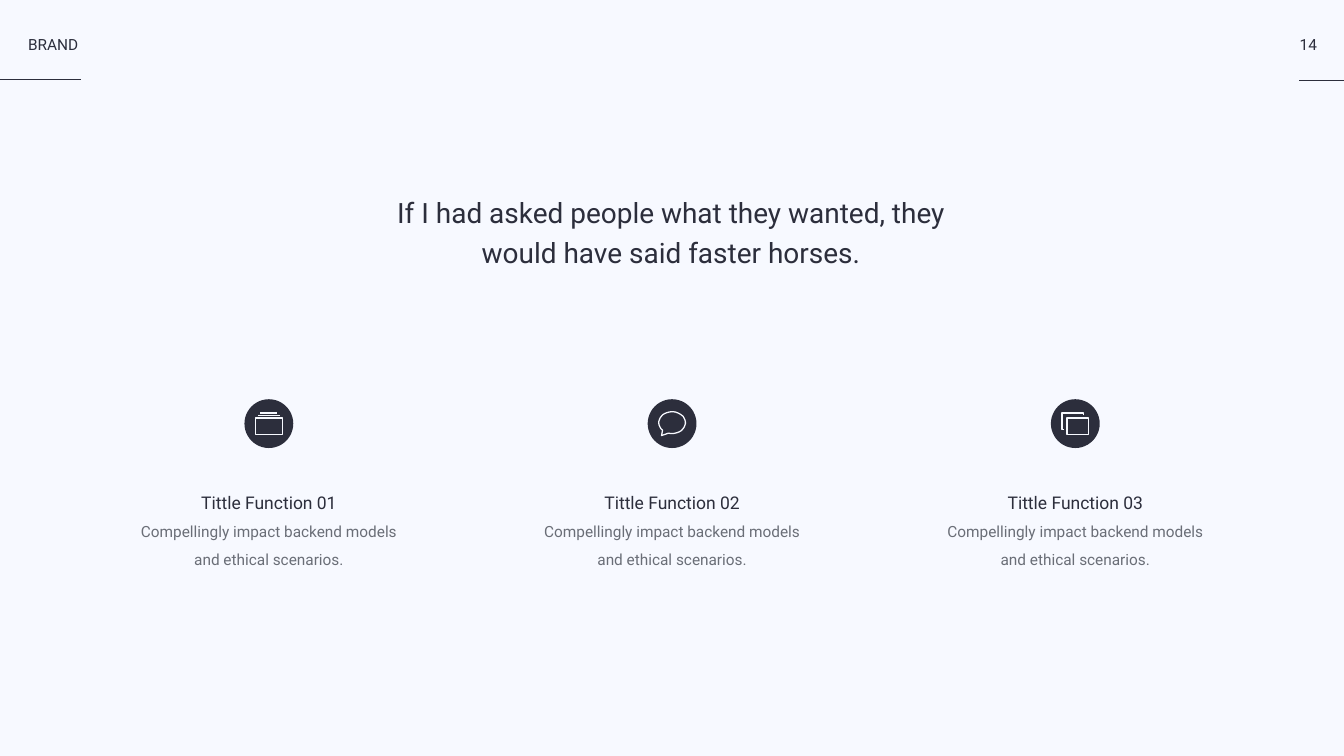
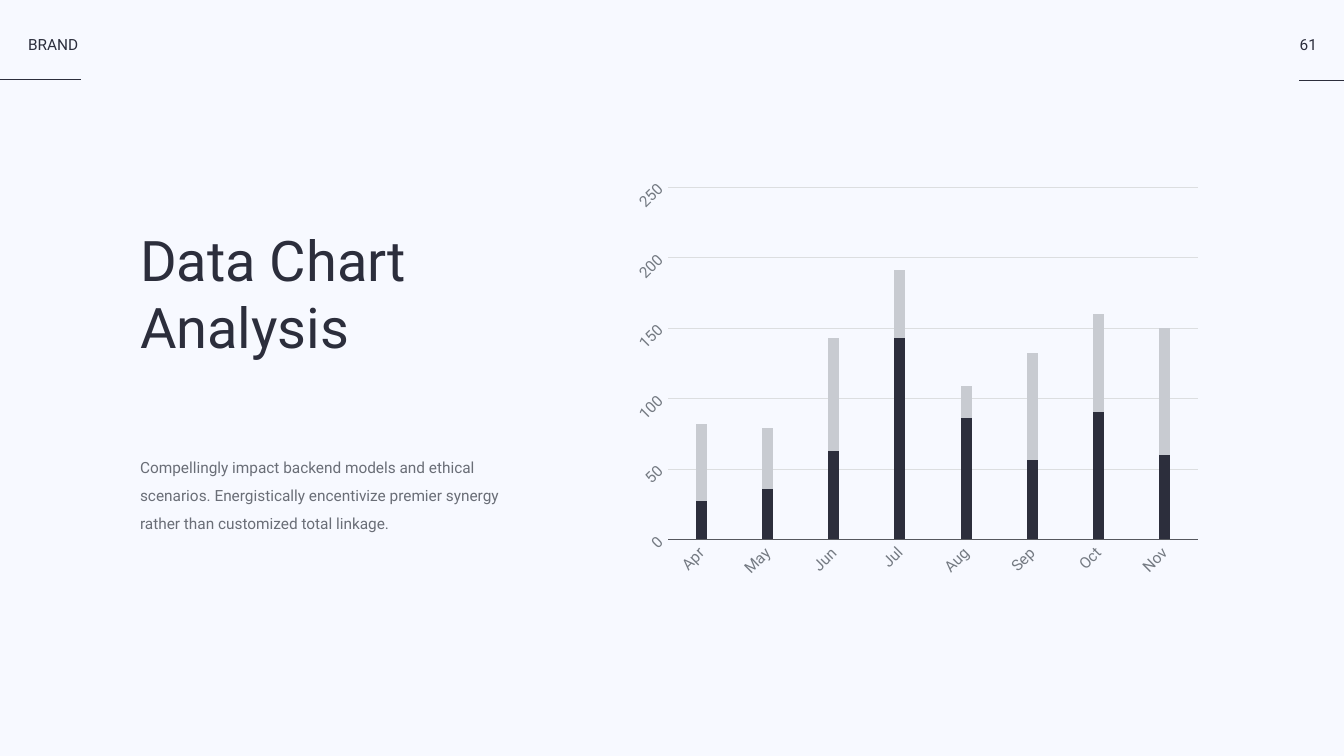
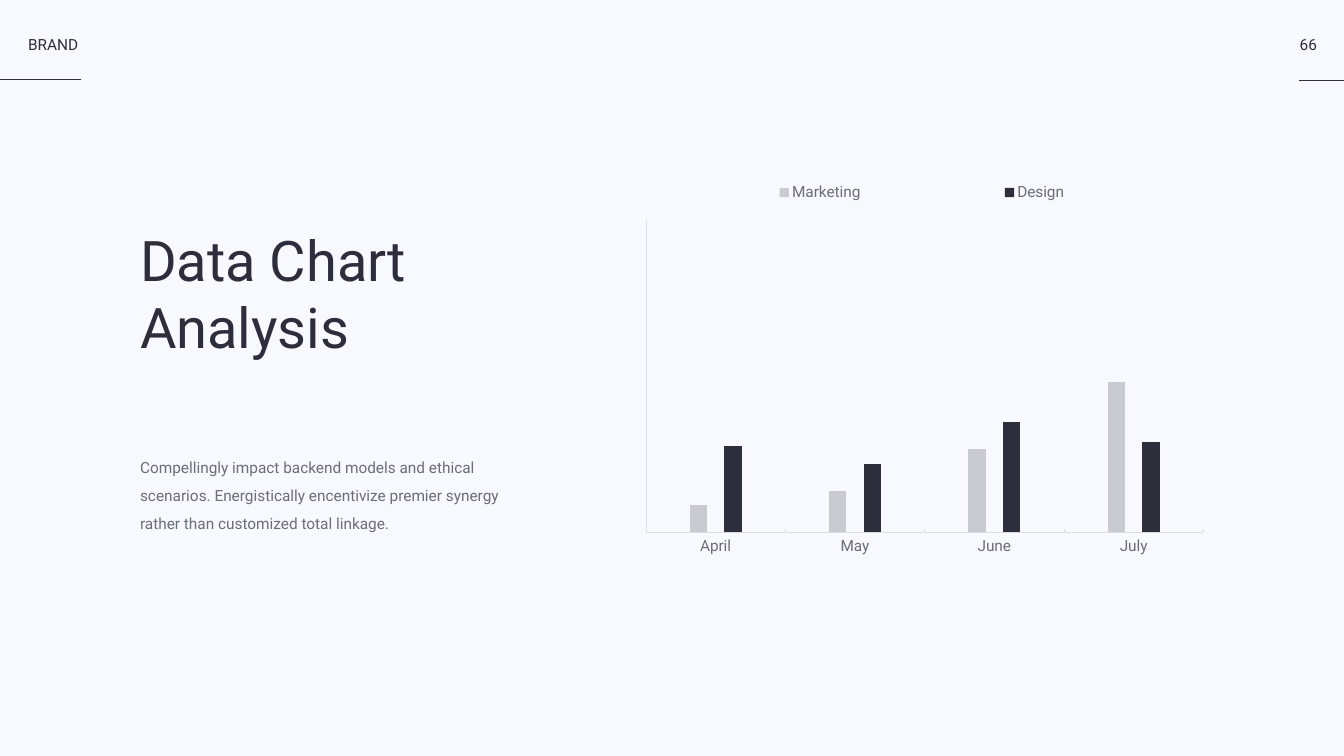
import math

import pptx
import pptx.chart.data
import pptx.dml.color
import pptx.enum.chart
import pptx.enum.shapes
import pptx.enum.text
import pptx.oxml
import pptx.oxml.ns
import pptx.util
from pptx.util import Cm

INK, GREY, PALE = "2C2E3C", "6A6E77", "C8CBD1"
RULE, PAPER = "DCDEE0", "F7F9FF"
FONT = "Roboto"
LEFT = pptx.enum.text.PP_ALIGN.LEFT
MID = pptx.enum.text.PP_ALIGN.CENTER
qn = pptx.oxml.ns.qn


def hue(code):
    return pptx.dml.color.RGBColor.from_string(code)


def put(slide, x, y, wide, high, lines, align=LEFT, space=None):
    """Add a text box; each line is (text, size, colour)."""
    box = slide.shapes.add_textbox(Cm(x), Cm(y), Cm(wide), Cm(high))
    frame = box.text_frame
    frame.margin_left = frame.margin_right = 0
    frame.margin_top = frame.margin_bottom = 0
    frame.word_wrap = False
    frame.auto_size = pptx.enum.text.MSO_AUTO_SIZE.SHAPE_TO_FIT_TEXT
    for i, (text, size, color) in enumerate(lines):
        para = frame.add_paragraph() if i else frame.paragraphs[0]
        para.text = text
        para.alignment = align
        para.line_spacing = space
        para.font.name = FONT
        para.font.size = pptx.util.Pt(size)
        para.font.color.rgb = hue(color)


deck = pptx.Presentation()
deck.slide_width, deck.slide_height = Cm(67.73), Cm(38.1)
back = deck.slide_master.background.fill
back.solid()
back.fore_color.rgb = hue(PAPER)

# Header on every slide
slides = []
for page in ("14", "61", "66"):
    slide = deck.slides.add_slide(deck.slide_layouts[6])
    slides.append(slide)
    for start, end, y in ((0, 4.09, 4.01), (65.48, 67.73, 4.06)):
        line = slide.shapes.add_connector(
            pptx.enum.shapes.MSO_CONNECTOR.STRAIGHT, Cm(start), Cm(y), Cm(end), Cm(y))
        line.line.color.rgb = hue(INK)
        line.line.width = pptx.util.Pt(2)
        line._element.spPr.append(pptx.oxml.parse_xml(
            f'<a:effectLst {pptx.oxml.ns.nsdecls("a")}/>'))
    put(slide, 1.42, 1.75, 2.67, 1.02, [("BRAND", 22, INK)])
    put(slide, 65.48, 1.75, 0.91, 1.02, [(page, 22, INK)], MID)

# Slide 1: quote
first = slides[0]
put(first, 19.94, 9.5, 27.74, 4.11, [
    ("If I had asked people what they wanted, they", 40, INK),
    ("would have said faster horses.", 40, INK)], MID, 1.2)

# Icon strokes, in hundredths of a centimetre from the disc centre: (points, closed)
arc = [math.radians(a) for a in range(136, 467, 10)]
bubble = [(67 * math.cos(a), 55 * math.sin(a) - 5) for a in arc] + [(-53, 60)]
stack = [([(-68, -28), (68, -28), (68, 56), (-68, 56)], True),
         ([(-55, -41), (55, -41)], False),
         ([(-43, -53), (43, -53)], False)]
panes = [([(-42, -28), (67, -28), (67, 56), (-42, 56)], True),
         ([(42, -41), (42, -53), (-67, -53), (-67, 29), (-55, 29)], False)]

# Slide 1: three columns
for i, icon in enumerate((stack, [(bubble, True)], panes)):
    mid, y = 13.55 + 20.32 * i, 21.35
    put(first, mid - 6.49, 24.28, 12.98, 4.29, [
        (f"Tittle Function {i + 1:02d}", 25, INK),
        ("Compellingly impact backend models", 22, GREY),
        ("and ethical scenarios.", 22, GREY)], MID, 1.5)
    group = first.shapes.add_group_shape()
    disc = group.shapes.add_shape(pptx.enum.shapes.MSO_SHAPE.OVAL,
                                  Cm(mid - 1.23), Cm(y - 1.23), Cm(2.46), Cm(2.46))
    disc.fill.solid()
    disc.fill.fore_color.rgb = hue(INK)
    disc.line.fill.background()
    pen = group.shapes.build_freeform(*icon[0][0][0], scale=Cm(0.01))
    for n, (points, closed) in enumerate(icon):
        if n:
            pen.move_to(*points[0])
        pen.add_line_segments(points[1:], close=closed)
    glyph = pen.convert_to_shape(Cm(mid), Cm(y))
    glyph.fill.background()
    glyph.line.color.rgb = hue(PAPER)
    glyph.line.width = pptx.util.Pt(1.8)
    disc.shadow.inherit = glyph.shadow.inherit = False

# Slides 2 and 3: title and body
for slide in slides[1:]:
    put(slide, 7.06, 11.38, 14.3, 7.47,
        [("Data Chart", 80, INK), ("Analysis", 80, INK)])
    put(slide, 7.06, 22.63, 18.14, 4.09, [
        ("Compellingly impact backend models and ethical", 22, GREY),
        ("scenarios. Energistically encentivize premier synergy", 22, GREY),
        ("rather than customized total linkage.", 22, GREY)], space=1.5)

# Slides 2 and 3: column charts
kinds = pptx.enum.chart.XL_CHART_TYPE
ticks = pptx.enum.chart.XL_TICK_MARK
spots = pptx.enum.chart.XL_TICK_LABEL_POSITION
plans = [
    dict(kind=kinds.COLUMN_STACKED, box=(31.34, 8.36, 29.31, 21.39),
         cats=["Apr", "May", "Jun", "Jul", "Aug", "Sep", "Oct", "Nov"],
         rows=[("Series 1", [27, 36, 63, 143, 86, 56, 90, 60], INK),
               ("Series 2", [55, 43, 80, 48, 23, 76, 70, 90], PALE)],
         lap=100, top=250, step=50, text="747A82", base="56585E",
         plot=(0.08, 0.05, 0.91, 0.83)),
    dict(kind=kinds.COLUMN_CLUSTERED, box=(31.98, 8.92, 28.68, 19.66),
         cats=["April", "May", "June", "July"],
         rows=[("Marketing", [18, 27, 55, 100], PALE),
               ("Design", [57, 45, 73, 60], INK)],
         lap=-100, top=208, step=104, text=GREY, base=RULE,
         plot=(0.02, 0.11, 0.98, 0.8)),
]
for slide, plan in zip(slides[1:], plans):
    stacked = plan["kind"] == kinds.COLUMN_STACKED
    data = pptx.chart.data.CategoryChartData()
    data.categories = plan["cats"]
    for name, vals, _ in plan["rows"]:
        data.add_series(name, vals)
    chart = slide.shapes.add_chart(
        plan["kind"], *[Cm(n) for n in plan["box"]], data).chart
    chart.has_title = False
    chart.has_legend = not stacked
    chart.font.name = FONT
    chart.font.size = pptx.util.Pt(22)
    chart.font.color.rgb = hue(plan["text"])

    bars = chart.plots[0]
    bars.gap_width, bars.overlap = 500, plan["lap"]
    bars.vary_by_categories = False
    for row, (_, _, color) in zip(bars.series, plan["rows"]):
        row.format.fill.solid()
        row.format.fill.fore_color.rgb = hue(color)

    cat, val = chart.category_axis, chart.value_axis
    val.minimum_scale, val.maximum_scale = 0, plan["top"]
    val.major_unit = plan["step"]
    val.major_tick_mark = ticks.NONE
    val.has_major_gridlines = stacked
    cat.major_tick_mark = ticks.NONE if stacked else ticks.INSIDE
    cat.tick_label_position = spots.LOW
    strokes = [(cat.format.line, plan["base"])]
    if stacked:
        val.format.line.fill.background()
        val.tick_labels.number_format = "#,##0"
        val.tick_labels.number_format_is_linked = False
        strokes.append((val.major_gridlines.format.line, RULE))
    else:
        val.tick_label_position = spots.NONE
        strokes.append((val.format.line, RULE))
    for line, color in strokes:
        line.color.rgb = hue(color)
        line.width = pptx.util.Pt(1)

    # Slanted labels
    for axis in (cat, val) if stacked else ():
        font = axis.tick_labels.font
        font.size = pptx.util.Pt(22)
        font.color.rgb = hue(plan["text"])
        axis._element.find(qn("c:txPr")).find(qn("a:bodyPr")).set("rot", "-2700000")

    # Fixed places for the plot area and the legend
    area = chart._chartSpace.chart.plotArea
    places = [(area, 0, plan["plot"], '<c:layoutTarget val="inner"/>')]
    if chart.has_legend:
        chart.legend.position = pptx.enum.chart.XL_LEGEND_POSITION.TOP
        chart.legend.include_in_layout = True
        places.append((chart.legend._element, 1, (0.01, 0, 0.99, 0.08), ""))
    for node, at, box, target in places:
        for old in node.findall(qn("c:layout")):
            node.remove(old)
        modes = "".join(f'<c:{k}Mode val="edge"/>' for k in "xy")
        sizes = "".join(f'<c:{k} val="{n}"/>' for k, n in zip("xywh", box))
        node.insert(at, pptx.oxml.parse_xml(
            f'<c:layout {pptx.oxml.ns.nsdecls("c")}><c:manualLayout>'
            f'{target}{modes}{sizes}</c:manualLayout></c:layout>'))

deck.save("out.pptx")
